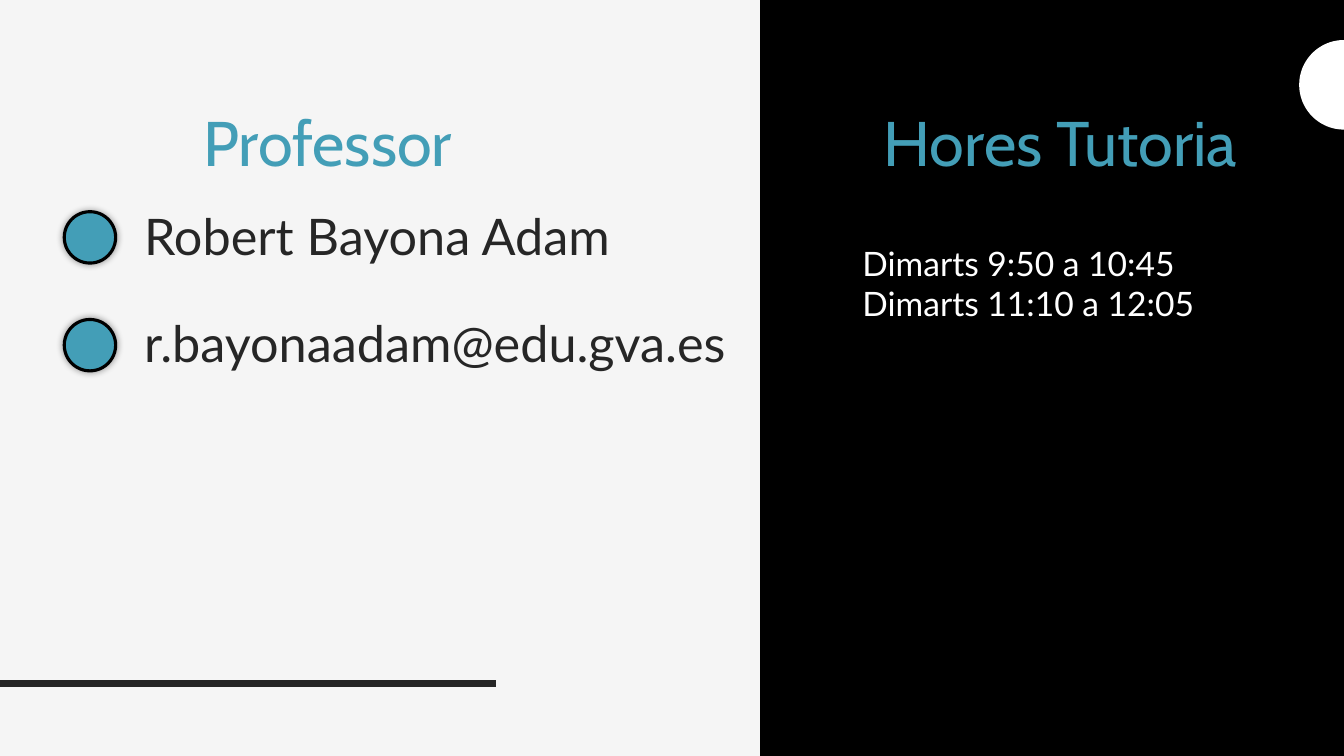
"""Build the slide with the teacher's contact details and tutoring hours."""
from dataclasses import dataclass
from math import cos, pi, sin

from lxml.etree import SubElement
from pptx import Presentation
from pptx.dml.color import RGBColor
from pptx.enum.shapes import MSO_CONNECTOR, MSO_SHAPE
from pptx.enum.text import MSO_ANCHOR, MSO_AUTO_SIZE, PP_ALIGN
from pptx.oxml.ns import qn
from pptx.util import Pt


@dataclass(frozen=True)
class Theme:
    background: str = "F5F5F5"
    panel: str = "000000"
    dark: str = "262626"
    accent: str = "439EB7"
    light: str = "FFFFFF"
    heading_font: str = "Cabin"
    body_font: str = "Lato"
    heading_size: float = 45
    contact_size: float = 36
    hours_size: float = 24


def color(value):
    return RGBColor.from_string(value)


def write_text(shape, lines, *, font, size, fill, align=PP_ALIGN.LEFT,
               anchor=MSO_ANCHOR.TOP, wrap=True, auto_size=MSO_AUTO_SIZE.NONE,
               line_spacing=1.0, before=0, after=0):
    frame = shape.text_frame
    frame.text = "\n".join(lines)
    frame.word_wrap = wrap
    frame.auto_size = auto_size
    frame.vertical_anchor = anchor
    for index, paragraph in enumerate(frame.paragraphs):
        paragraph.alignment = align
        paragraph.line_spacing = line_spacing
        paragraph.space_before = Pt(before if index else 0)
        paragraph.space_after = Pt(after)
        paragraph.font.name = font
        paragraph.font.size = Pt(size)
        paragraph.font.color.rgb = color(fill)


class SlideBuilder:
    def __init__(self, slide, theme):
        self.slide = slide
        self.theme = theme
        slide.background.fill.solid()
        slide.background.fill.fore_color.rgb = color(theme.background)

    def paint(self, shape, fill, line=None, line_width=1):
        shape.shadow.inherit = False
        shape.fill.solid()
        shape.fill.fore_color.rgb = color(fill)
        if line:
            shape.line.color.rgb = color(line)
            shape.line.width = Pt(line_width)
        else:
            shape.line.fill.background()

    def panel(self, left, top, width, height):
        shape = self.slide.shapes.add_shape(
            MSO_SHAPE.RECTANGLE, Pt(left), Pt(top), Pt(width), Pt(height))
        self.paint(shape, self.theme.panel, self.theme.panel)

    def rule(self, left, right, top):
        connector = self.slide.shapes.add_connector(
            MSO_CONNECTOR.STRAIGHT, Pt(left), Pt(top), Pt(right), Pt(top))
        connector.line.color.rgb = color(self.theme.dark)
        connector.line.width = Pt(4.5)
        SubElement(connector.element.spPr, qn("a:effectLst"))

    def half_disc(self, right, middle, radius, steps=48):
        angles = [pi * step / steps for step in range(steps + 1)]
        points = [(Pt(right - radius * sin(angle)), Pt(middle - radius * cos(angle)))
                  for angle in angles]
        builder = self.slide.shapes.build_freeform(*points[0])
        builder.add_line_segments(points[1:], close=True)
        self.paint(builder.convert_to_shape(), self.theme.light)

    def marker(self, left, top, size):
        shape = self.slide.shapes.add_shape(
            MSO_SHAPE.OVAL, Pt(left), Pt(top), Pt(size), Pt(size))
        self.paint(shape, self.theme.accent, self.theme.panel, 2.25)
        effects = shape.element.spPr.find(qn("a:effectLst"))
        shadow = SubElement(effects, qn("a:outerShdw"), blurRad=str(Pt(5)),
                            dist="0", dir="0", algn="ctr", rotWithShape="0")
        shade = SubElement(shadow, qn("a:srgbClr"), val=self.theme.panel)
        SubElement(shade, qn("a:alpha"), val="40000")

    def text_box(self, lines, left, top, width, height, **text_format):
        shape = self.slide.shapes.add_textbox(Pt(left), Pt(top), Pt(width), Pt(height))
        write_text(shape, lines, font=self.theme.body_font, **text_format)

    def heading(self, text, left, is_title=False):
        top, width, height = Pt(10), Pt(366), Pt(188.6)
        if is_title:
            shape = self.slide.shapes.title
            shape.left, shape.top, shape.width, shape.height = Pt(left), top, width, height
        else:
            shape = self.slide.shapes.add_textbox(Pt(left), top, width, height)
        write_text(shape, [text], font=self.theme.heading_font,
                   size=self.theme.heading_size, fill=self.theme.accent,
                   align=PP_ALIGN.CENTER, anchor=MSO_ANCHOR.MIDDLE, line_spacing=0.9)


def main():
    theme = Theme()
    presentation = Presentation()
    presentation.slide_width, presentation.slide_height = Pt(960), Pt(540)
    builder = SlideBuilder(presentation.slides.add_slide(presentation.slide_layouts[5]), theme)

    builder.rule(0, 354.25, 488.2)
    builder.panel(543.5, 0, 416.5, 540)
    builder.half_disc(960, 60.6, 32)

    contacts = ["Robert Bayona Adam", "r.bayonaadam@edu.gva.es"]
    for index in range(len(contacts)):
        builder.marker(45.9, 151.2 + 77 * index, 36.7)
    builder.text_box(contacts, 95.8, 143.3, 452, 396, size=theme.contact_size,
                     fill=theme.dark, before=9, after=24)

    builder.heading("Professor", 51, is_title=True)
    builder.heading("Hores Tutoria", 574.5)
    builder.text_box(["Dimarts 9:50 a 10:45", "Dimarts 11:10 a 12:05"],
                     609, 170, 255, 65.5, size=theme.hours_size, fill=theme.light,
                     wrap=False, auto_size=MSO_AUTO_SIZE.SHAPE_TO_FIT_TEXT)

    presentation.save("out.pptx")


if __name__ == "__main__":
    main()
